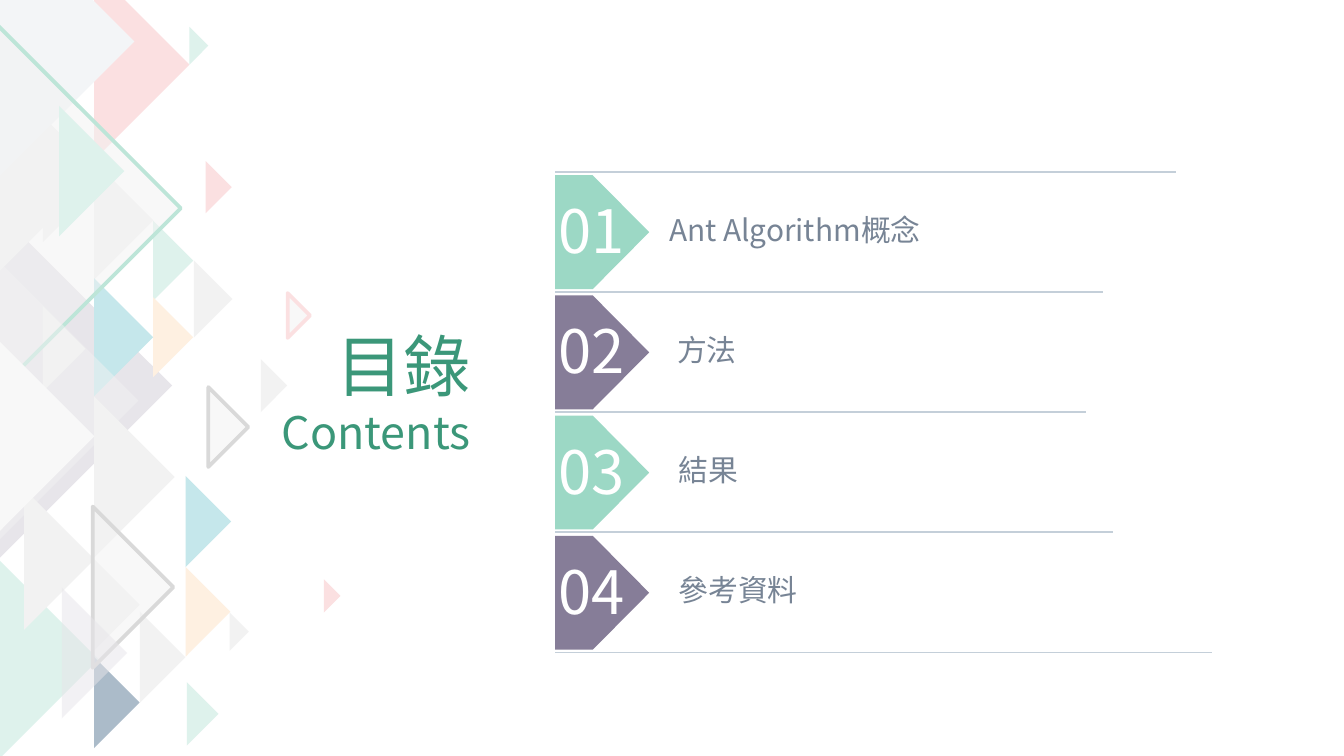
from typing import NamedTuple, Optional

import pptx
import pptx.dml.color
import pptx.enum.shapes
import pptx.enum.text
import pptx.oxml
import pptx.oxml.ns
import pptx.util

Pt = pptx.util.Pt
RGB = pptx.dml.color.RGBColor
PP_ALIGN = pptx.enum.text.PP_ALIGN
qn = pptx.oxml.ns.qn

FONT = "Noto Sans CJK SC"
WHITE = RGB(0xFF, 0xFF, 0xFF)
GRAY = RGB(0xF2, 0xF2, 0xF2)
MID_GRAY = RGB(0xD9, 0xD9, 0xD9)
MIST = RGB(0xF3, 0xF5, 0xF7)
LILAC = RGB(0xE7, 0xE5, 0xEA)
PINK = RGB(0xFB, 0xE0, 0xE1)
MINT = RGB(0xDE, 0xF2, 0xEC)
MINT_LINE = RGB(0xBD, 0xE5, 0xD8)
CREAM = RGB(0xFE, 0xF0, 0xE1)
SKY = RGB(0xC5, 0xE7, 0xEB)
STEEL = RGB(0xAB, 0xBB, 0xC9)
RULE = RGB(0xC4, 0xCF, 0xD9)
GREEN = RGB(0x9C, 0xD8, 0xC5)
PURPLE = RGB(0x86, 0x7D, 0x98)
LABEL = RGB(0x77, 0x84, 0x95)
TITLE = RGB(0x3B, 0x97, 0x79)


class Triangle(NamedTuple):
    """Right-pointing triangle: base x, tip y, and depth (half its height)."""
    x: float
    y: float
    depth: float
    fill: RGB
    line: Optional[RGB] = None
    alpha: int = 100


class Entry(NamedTuple):
    number: str
    label: str
    label_x: float
    color: RGB


TRIANGLES = [
    Triangle(0, 206.6, 92.2, LILAC),
    Triangle(0, 92.2, 52.8, GRAY),
    Triangle(50.4, 118.1, 31.7, GRAY),
    Triangle(50.4, 34.6, 51.1, PINK),
    Triangle(82.1, 139.7, 21.4, MINT),
    Triangle(82.1, 180.7, 21.4, CREAM),
    Triangle(50.4, 180.7, 31.7, SKY),
    Triangle(50.4, 255.6, 43.2, GRAY),
    Triangle(50.4, 324, 24.4, GRAY),
    Triangle(0, 353.3, 52.8, MINT),
    Triangle(50.4, 376.4, 24.4, STEEL),
    Triangle(74.9, 352.1, 24.4, GRAY),
    Triangle(99.4, 327.8, 24.1, CREAM),
    Triangle(99.4, 279.4, 24.4, SKY),
    Triangle(0, 241.9, 36.7, GRAY),
    Triangle(0, 22.3, 72, MIST),
    Triangle(23, 106.6, 23, GRAY),
    Triangle(23, 186.9, 22.8, GRAY),
    Triangle(13, 299.7, 37.7, GRAY),
    Triangle(110.2, 100.3, 14, PINK),
    Triangle(-4.3, 111.6, 101.1, GRAY, MINT_LINE, 50),
    Triangle(-4.3, 233.8, 54.9, WHITE),
    Triangle(49.7, 314.6, 43.2, GRAY, MID_GRAY, 50),
    Triangle(111.6, 228.8, 21.4, GRAY, MID_GRAY, 50),
    Triangle(154.1, 169, 12, GRAY, PINK, 50),
    Triangle(139.7, 206.6, 14.2, GRAY),
    Triangle(123.1, 338.4, 10.2, GRAY),
    Triangle(100.1, 382.5, 17, MINT),
    Triangle(0, 214.6, 74.2, GRAY, alpha=50),
    Triangle(33.1, 349.9, 35, LILAC, alpha=50),
    Triangle(31.7, 91.7, 34.9, MINT),
    Triangle(103.9, 160.2, 20.6, GRAY),
    Triangle(101.5, 24.5, 10.1, MINT),
    Triangle(173.5, 319.3, 8.9, PINK),
]
ENTRIES = [
    Entry("01", "Ant Algorithm概念", 351.4, GREEN),
    Entry("02", "方法", 355.7, PURPLE),
    Entry("03", "結果", 356.4, GREEN),
    Entry("04", "參考資料", 356.4, PURPLE),
]
RULE_ENDS = [630, 591.1, 581.8, 596.2, 649.4]
LEFT, TOP, PITCH = 297.4, 92, 64.4


def write(p, text: str, *, size: float, color: RGB, align=PP_ALIGN.LEFT) -> None:
    p.alignment = align
    r = p.add_run()
    r.text = text
    r.font.size = Pt(size)
    r.font.name = FONT
    r.font.color.rgb = color
    ea = pptx.oxml.parse_xml(
        f'<a:ea {pptx.oxml.ns.nsdecls("a")} typeface="{FONT}"/>')
    r.font._element.find(qn("a:latin")).addnext(ea)


def add_text(slide, x: float, y: float, w: float, h: float, text: str,
             *, wrap: bool = True, **style) -> None:
    tf = slide.shapes.add_textbox(Pt(x), Pt(y), Pt(w), Pt(h)).text_frame
    tf.word_wrap = wrap
    write(tf.paragraphs[0], text, **style)


def paint(sp, fill: RGB, line: Optional[RGB] = None, alpha: int = 100) -> None:
    sp.shadow.inherit = False
    sp.fill.solid()
    sp.fill.fore_color.rgb = fill
    if alpha < 100:
        color = sp._element.spPr.find(qn("a:solidFill"))[0]
        color.append(pptx.oxml.parse_xml(
            f'<a:alpha {pptx.oxml.ns.nsdecls("a")} val="{alpha * 1000}"/>'))
    if line is None:
        sp.line.fill.background()
    else:
        sp.line.color.rgb = line
        sp.line.width = Pt(2)


def add_triangle(slide, t: Triangle) -> None:
    top, bottom = Pt(t.y - t.depth), Pt(t.y + t.depth)
    builder = slide.shapes.build_freeform(Pt(t.x), top)
    builder.add_line_segments([(Pt(t.x + t.depth), Pt(t.y)), (Pt(t.x), bottom)])
    paint(builder.convert_to_shape(), t.fill, t.line, t.alpha)


def add_rule(slide, y: float, end: float) -> None:
    line = slide.shapes.add_connector(
        pptx.enum.shapes.MSO_CONNECTOR.STRAIGHT, Pt(LEFT), Pt(y), Pt(end), Pt(y))
    line.line.color.rgb = RULE
    line.line.width = Pt(1)
    line._element.spPr.append(pptx.oxml.parse_xml(
        f'<a:effectLst {pptx.oxml.ns.nsdecls("a")}/>'))


def add_entry(slide, y: float, entry: Entry) -> None:
    badge = slide.shapes.add_shape(
        pptx.enum.shapes.MSO_SHAPE.PENTAGON, Pt(LEFT), Pt(y + 1.9), Pt(50.4), Pt(61))
    badge.adjustments[0] = 0.6
    paint(badge, entry.color)
    add_text(slide, 292.3, y + 8.4, 52.6, 46, entry.number,
             wrap=False, size=32, color=WHITE)
    add_text(slide, entry.label_x, y + 17.8, 190.8, 26.6, entry.label,
             size=16, color=LABEL)


def add_title(slide) -> None:
    title = slide.shapes.title
    title.left, title.top, title.width, title.height = (
        Pt(125.3), Pt(169.9), Pt(133.9), Pt(79.9))
    tf = title.text_frame
    tf.word_wrap = True
    tf.auto_size = pptx.enum.text.MSO_AUTO_SIZE.NONE
    tf.vertical_anchor = pptx.enum.text.MSO_ANCHOR.TOP
    write(tf.paragraphs[0], "目錄", size=36, color=TITLE, align=PP_ALIGN.RIGHT)
    write(tf.add_paragraph(), "Contents", size=24, color=TITLE, align=PP_ALIGN.RIGHT)


def main() -> None:
    prs = pptx.Presentation()
    prs.slide_width, prs.slide_height = Pt(720), Pt(405)
    s = prs.slides.add_slide(prs.slide_layouts.get_by_name("Title Only"))
    for triangle in TRIANGLES:
        add_triangle(s, triangle)
    for i, end in enumerate(RULE_ENDS):
        add_rule(s, TOP + i * PITCH, end)
    for i, entry in enumerate(ENTRIES):
        add_entry(s, TOP + i * PITCH, entry)
    add_title(s)
    prs.save("out.pptx")


if __name__ == "__main__":
    main()
